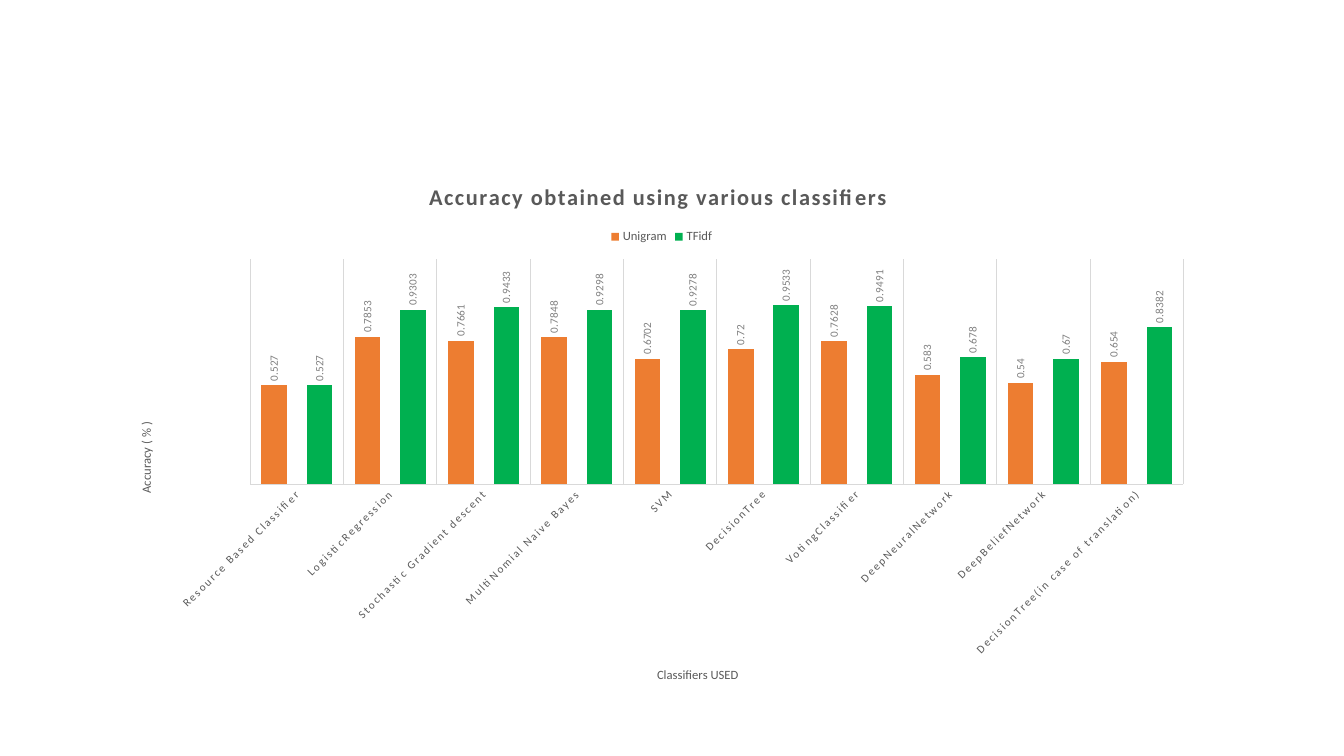
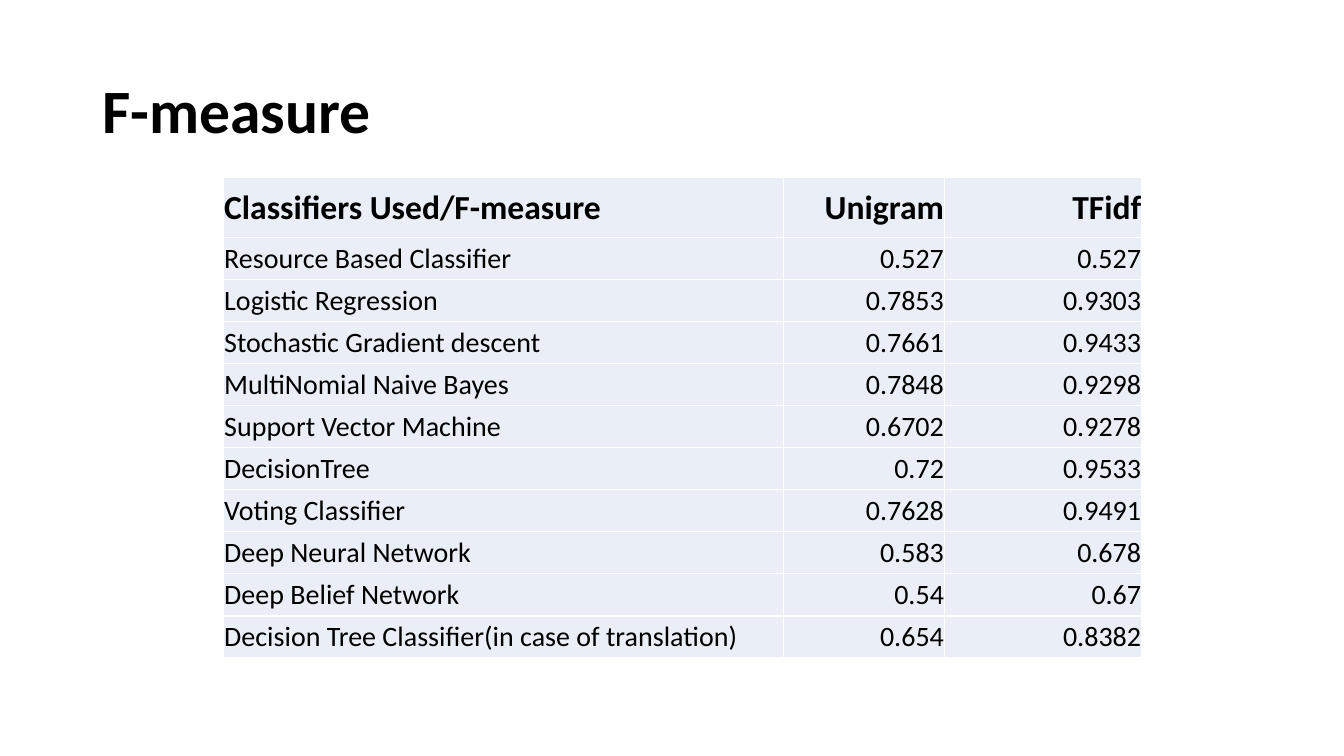
from lxml import etree
from pptx import Presentation
from pptx.chart.data import CategoryChartData
from pptx.dml.color import RGBColor
from pptx.enum.chart import (XL_CHART_TYPE, XL_LABEL_POSITION, XL_LEGEND_POSITION,
                             XL_TICK_MARK)
from pptx.enum.text import MSO_ANCHOR, PP_ALIGN
from pptx.oxml.ns import qn
from pptx.util import Cm, Pt

# Content: chart name, table name, Unigram value, TFidf value
CLASSIFIERS = [
    ("Resource Based Classifier", "Resource Based Classifier", 0.527, 0.527),
    ("LogisticRegression", "Logistic Regression", 0.7853, 0.9303),
    ("Stochastic Gradient descent", "Stochastic Gradient descent", 0.7661, 0.9433),
    ("MultiNomial Naive Bayes", "MultiNomial Naive Bayes", 0.7848, 0.9298),
    ("SVM", "Support Vector Machine", 0.6702, 0.9278),
    ("DecisionTree", "DecisionTree", 0.72, 0.9533),
    ("VotingClassifier", "Voting Classifier", 0.7628, 0.9491),
    ("DeepNeuralNetwork", "Deep Neural Network", 0.583, 0.678),
    ("DeepBeliefNetwork", "Deep Belief Network", 0.54, 0.67),
    ("DecisionTree(in case of translation)",
     "Decision Tree Classifier(in case of translation)", 0.654, 0.8382),
]
FEATURES = ["Unigram", "TFidf"]
CHART_TITLE = "Accuracy obtained using various classifiers "
CATEGORY_TITLE = "Classifiers USED"
VALUE_TITLE = "Accuracy ( % )"
TABLE_TITLE = "F-measure"
TABLE_HEADER = ["Classifiers Used/F-measure", *FEATURES]

# Shared style
FONT = "Calibri"
BLACK = RGBColor(0x00, 0x00, 0x00)
WHITE = RGBColor(0xFF, 0xFF, 0xFF)
DARK_GREY = RGBColor(0x59, 0x59, 0x59)
LABEL_GREY = RGBColor(0x80, 0x80, 0x80)
LINE_GREY = RGBColor(0xD9, 0xD9, 0xD9)
CELL_BLUE = RGBColor(0xEA, 0xEF, 0xF7)
SERIES_COLORS = [RGBColor(0xED, 0x7D, 0x31), RGBColor(0x00, 0xB0, 0x50)]
LETTER_SPACING = "120"

TITLE_ONLY_LAYOUT = 5
BLANK_LAYOUT = 6
COLUMN_WIDTHS = [Cm(14.12), Cm(4.06), Cm(4.97)]
HEADER_HEIGHT = Cm(1.5)
ROW_HEIGHT = Cm(1.06)

CLUSTERED = XL_CHART_TYPE.COLUMN_CLUSTERED
OUTSIDE_END = XL_LABEL_POSITION.OUTSIDE_END
LEGEND_TOP = XL_LEGEND_POSITION.TOP
NO_TICK = XL_TICK_MARK.NONE
MIDDLE = MSO_ANCHOR.MIDDLE
LEFT, RIGHT = PP_ALIGN.LEFT, PP_ALIGN.RIGHT


def style_font(font, size, color, bold=False):
    font.name = FONT
    font.size = Pt(size)
    font.color.rgb = color
    font.bold = bold


def add_run(paragraph, text, size, color, bold=False):
    run = paragraph.add_run()
    run.text = text
    style_font(run.font, size, color, bold)
    return run


def rotate(chart, location, degrees):
    for body in chart.element.xpath(f"//{location}//a:bodyPr"):
        body.set("rot", str(degrees * 60000))
        body.set("vert", "horz")


def set_layout(parent, index, **percents):
    """Place a chart part by percents of the chart's width and height."""
    for old_layout in parent.findall(qn("c:layout")):
        parent.remove(old_layout)
    layout = etree.Element(qn("c:layout"))
    manual = etree.SubElement(layout, qn("c:manualLayout"))
    if "w" in percents:
        etree.SubElement(manual, qn("c:layoutTarget"), val="inner")
    for key in ("x", "y"):
        etree.SubElement(manual, qn(f"c:{key}Mode"), val="edge")
    for key, value in percents.items():
        etree.SubElement(manual, qn(f"c:{key}"), val=str(value / 100))
    parent.insert(index, layout)


def add_accuracy_slide(presentation):
    slide = presentation.slides.add_slide(presentation.slide_layouts[BLANK_LAYOUT])
    data = CategoryChartData()
    data.categories = [row[0] for row in CLASSIFIERS]
    for column, feature in enumerate(FEATURES, start=2):
        data.add_series(feature, [row[column] for row in CLASSIFIERS])
    chart = slide.shapes.add_chart(
        CLUSTERED, Cm(2.97), Cm(4.06), Cm(27.41), Cm(13.74), data).chart
    style_font(chart.font, 10, BLACK)

    # Title and legend
    chart.has_title = True
    title_run = add_run(chart.chart_title.text_frame.paragraphs[0],
                        CHART_TITLE, 16, DARK_GREY, True)
    title_run.font._element.set("spc", LETTER_SPACING)
    chart.chart_title.include_in_layout = False
    chart.has_legend = True
    chart.legend.position = LEGEND_TOP
    chart.legend.include_in_layout = False
    style_font(chart.legend.font, 9, DARK_GREY)

    # Columns and their labels
    plot = chart.plots[0]
    plot.gap_width = 87
    plot.overlap = -78
    plot.vary_by_categories = False
    for series, color in zip(plot.series, SERIES_COLORS):
        series.format.fill.solid()
        series.format.fill.fore_color.rgb = color
        labels = series.data_labels
        labels.show_value = True
        labels.position = OUTSIDE_END
        style_font(labels.font, 8, LABEL_GREY)
    rotate(chart, "c:dLbls", -90)

    # Axes
    category_axis, value_axis = chart.category_axis, chart.value_axis
    category_axis.major_tick_mark = NO_TICK
    category_axis.has_major_gridlines = True
    for line in (category_axis.format.line, category_axis.major_gridlines.format.line):
        line.color.rgb = LINE_GREY
        line.width = Pt(0.75)
    style_font(category_axis.tick_labels.font, 8, DARK_GREY)
    category_axis.tick_labels.font._element.set("spc", LETTER_SPACING)
    rotate(chart, "c:catAx/c:txPr", -45)
    value_axis.minimum_scale = 0
    value_axis.maximum_scale = 1.2
    value_axis.has_major_gridlines = False
    value_axis.visible = False
    for axis, text in ((category_axis, CATEGORY_TITLE), (value_axis, VALUE_TITLE)):
        add_run(axis.axis_title.text_frame.paragraphs[0], text, 9, DARK_GREY)
    rotate(chart, "c:valAx/c:title", -90)

    # Placement inside the chart
    plot_area = chart.element.xpath("//c:plotArea")[0]
    set_layout(plot_area, 0, x=12.18, y=18, w=85.8, h=41.3)
    set_layout(category_axis.axis_title._element, 1, x=49.36, y=92.3)
    set_layout(value_axis.axis_title._element, 1, x=1.63, y=47.45)


def add_borders(cell):
    properties = cell._tc.get_or_add_tcPr()
    for side in ("L", "R", "T", "B"):
        line = etree.SubElement(properties, qn(f"a:ln{side}"), w=str(Pt(1)))
        fill = etree.SubElement(line, qn("a:solidFill"))
        etree.SubElement(fill, qn("a:srgbClr"), val=str(WHITE))


def add_measure_slide(presentation):
    slide = presentation.slides.add_slide(presentation.slide_layouts[TITLE_ONLY_LAYOUT])

    # Title
    title = slide.shapes.title
    title.left, title.top, title.width, title.height = (
        Cm(2.33), Cm(1.01), Cm(29.21), Cm(3.68))
    title.text_frame.vertical_anchor = MIDDLE
    paragraph = title.text_frame.paragraphs[0]
    paragraph.alignment = LEFT
    paragraph.line_spacing = 0.9
    add_run(paragraph, TABLE_TITLE, 44, BLACK, True)

    # Table
    rows = [TABLE_HEADER] + [[name, *map(str, values)]
                             for _, name, *values in CLASSIFIERS]
    table = slide.shapes.add_table(
        len(rows), len(TABLE_HEADER), Cm(5.63), Cm(4.48), sum(COLUMN_WIDTHS),
        HEADER_HEIGHT + ROW_HEIGHT * len(CLASSIFIERS)).table
    for column, width in zip(table.columns, COLUMN_WIDTHS):
        column.width = width
    for row_index, texts in enumerate(rows):
        is_header = row_index == 0
        table.rows[row_index].height = HEADER_HEIGHT if is_header else ROW_HEIGHT
        for column_index, text in enumerate(texts):
            cell = table.cell(row_index, column_index)
            add_borders(cell)
            cell.fill.solid()
            cell.fill.fore_color.rgb = CELL_BLUE
            cell.vertical_anchor = MIDDLE
            cell.margin_left = cell.margin_right = cell.margin_top = Cm(0.02)
            cell.margin_bottom = 0
            paragraph = cell.text_frame.paragraphs[0]
            paragraph.alignment = RIGHT if column_index else LEFT
            add_run(paragraph, text, 24 if is_header else 20, BLACK, is_header)


def main():
    presentation = Presentation()
    presentation.slide_width = Cm(33.87)
    presentation.slide_height = Cm(19.05)
    add_accuracy_slide(presentation)
    add_measure_slide(presentation)
    presentation.save("out.pptx")


if __name__ == "__main__":
    main()
